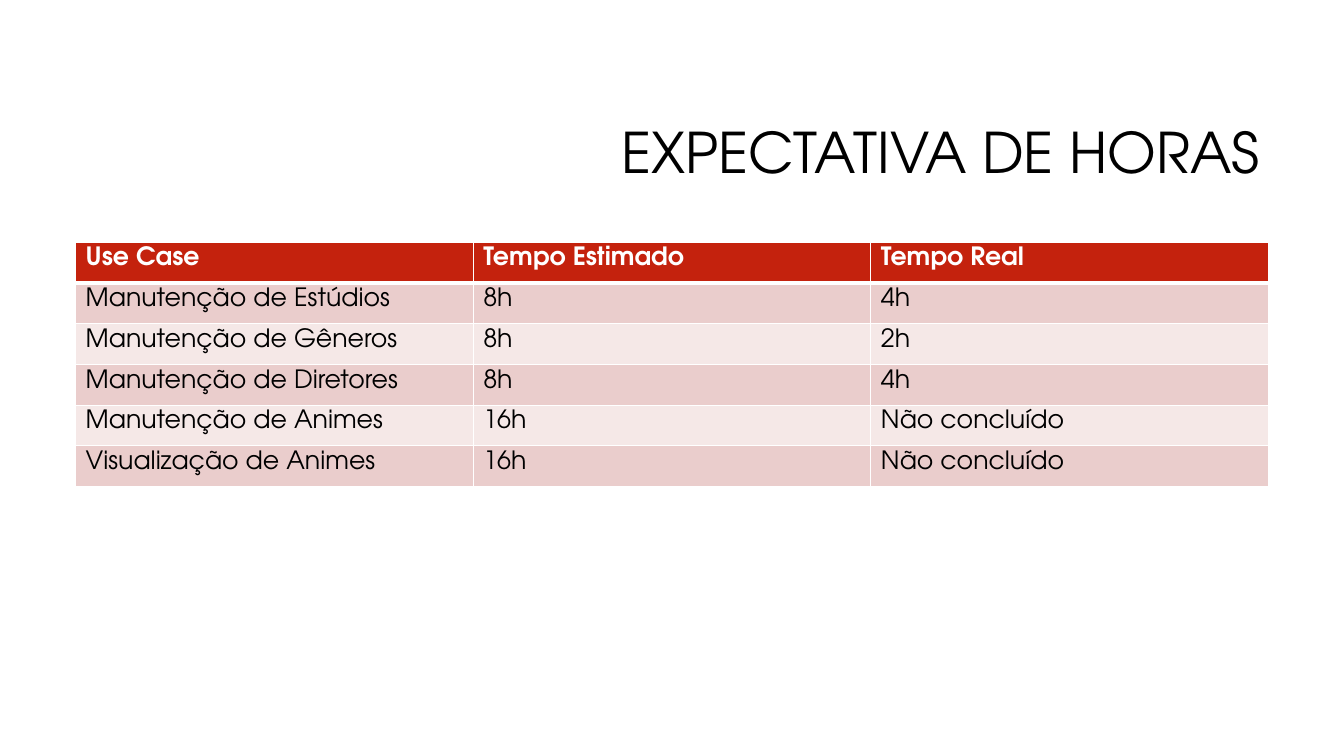
import pptx
import pptx.util
import pptx.dml.color
import pptx.enum.text
import lxml.etree
from pptx.util import Inches

FONT = "TeX Gyre Adventor"
COLORS = {
    "title": "000000",
    "header": "C4220D",
    "header_text": "FFFFFF",
    "odd_row": "EACDCC",
    "even_row": "F5E8E7",
    "body_text": "000000",
    "border": "FFFFFF",
}
HOURS = [
    ("Use Case", "Tempo Estimado", "Tempo Real"),
    ("Manutenção de Estúdios", "8h", "4h"),
    ("Manutenção de Gêneros", "8h", "2h"),
    ("Manutenção de Diretores", "8h", "4h"),
    ("Manutenção de Animes", "16h", "Não concluído"),
    ("Visualização de Animes", "16h", "Não concluído"),
]


def style_text(paragraph, size, color, bold=False):
    paragraph.font.name = FONT
    paragraph.font.size = pptx.util.Pt(size)
    paragraph.font.bold = bold
    paragraph.font.color.rgb = pptx.dml.color.RGBColor.from_string(COLORS[color])


def add_border(cell, side, width):
    properties = cell._tc.get_or_add_tcPr()
    line = lxml.etree.SubElement(properties, pptx.oxml.ns.qn(f"a:ln{side}"))
    line.set("w", str(pptx.util.Pt(width)))
    fill = lxml.etree.SubElement(line, pptx.oxml.ns.qn("a:solidFill"))
    color = lxml.etree.SubElement(fill, pptx.oxml.ns.qn("a:srgbClr"))
    color.set("val", COLORS["border"])


presentation = pptx.Presentation()
presentation.slide_width = Inches(13.33)
presentation.slide_height = Inches(7.5)
slide = presentation.slides.add_slide(presentation.slide_layouts[6])

# Title
title = slide.shapes.add_textbox(Inches(3.17), Inches(0.84), Inches(9.42), Inches(1.41)).text_frame
title.word_wrap = True
title.vertical_anchor = pptx.enum.text.MSO_ANCHOR.MIDDLE
heading = title.paragraphs[0]
heading.text = "EXPECTATIVA DE HORAS"
heading.alignment = pptx.enum.text.PP_ALIGN.RIGHT
heading.line_spacing = 0.9
style_text(heading, 40, "title")

# Table of hours
hours_table = slide.shapes.add_table(
    len(HOURS), len(HOURS[0]), Inches(0.75), Inches(2.4), Inches(11.83), Inches(2.43)
).table

for row, entries in enumerate(HOURS):
    is_header = row == 0
    row_fill = "header" if is_header else "odd_row" if row % 2 else "even_row"
    # A thicker rule separates the header from the body
    border_widths = {"L": 1, "R": 1, "T": 3 if row == 1 else 1, "B": 3 if is_header else 1}
    for column, entry in enumerate(entries):
        cell = hours_table.cell(row, column)
        cell.text = entry
        style_text(cell.text_frame.paragraphs[0], 18,
                   "header_text" if is_header else "body_text", bold=is_header)
        for side, width in border_widths.items():
            add_border(cell, side, width)
        cell.fill.solid()
        cell.fill.fore_color.rgb = pptx.dml.color.RGBColor.from_string(COLORS[row_fill])

presentation.save("out.pptx")
